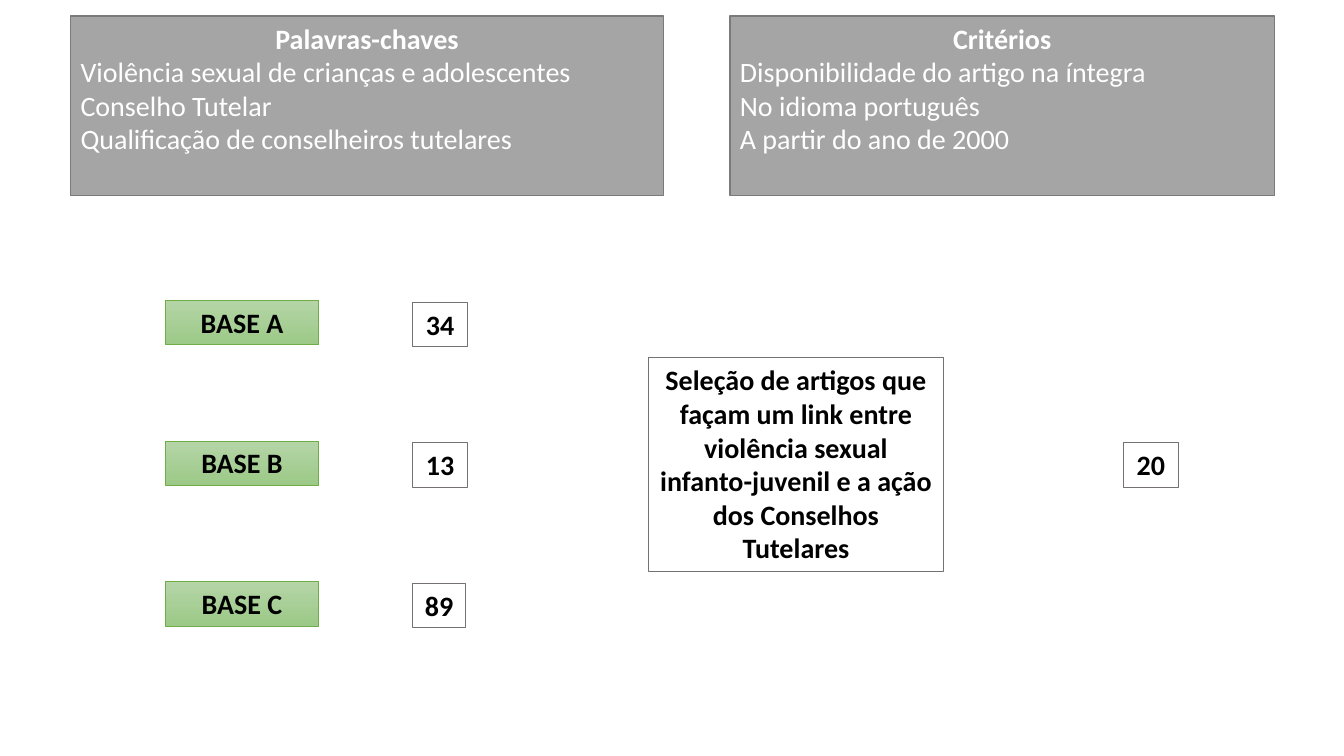
import pptx
import pptx.dml.color
import pptx.enum.shapes
import pptx.enum.text
import pptx.util

Inches, Pt = pptx.util.Inches, pptx.util.Pt
RGB = pptx.dml.color.RGBColor
ALIGN = pptx.enum.text.PP_ALIGN

BLACK, WHITE = RGB(0, 0, 0), RGB(255, 255, 255)
GREY, EDGE = RGB(0xA5, 0xA5, 0xA5), RGB(0x7A, 0x7A, 0x7A)
SLATE, GREEN = RGB(0x76, 0x71, 0x71), RGB(0x70, 0xAD, 0x47)
LIGHT, DEEP = RGB(0xB5, 0xD5, 0xA7), RGB(0x9C, 0xC9, 0x87)

# Each panel: left, width, title, items
PANELS = [
    (0.7, 5.88, "Palavras-chaves", [
        "Violência sexual de crianças e adolescentes",
        "Conselho Tutelar",
        "Qualificação de conselheiros tutelares"]),
    (7.24, 5.4, "Critérios", [
        "Disponibilidade do artigo na íntegra",
        "No idioma português",
        "A partir do ano de 2000"]),
]
# Each source: name, articles found, width of the count box
SOURCES = [("BASE A", "34", 0.55), ("BASE B", "13", 0.55), ("BASE C", "89", 0.53)]
FILTER = ("Seleção de artigos que façam um link entre violência sexual "
          "infanto-juvenil e a ação dos Conselhos Tutelares")
CHOSEN = "20"

# Each style: fill colours, line colour, line width, text colour
PANEL = ([GREY], EDGE, 1, WHITE)
SOURCE = ([LIGHT, DEEP], GREEN, 0.5, BLACK)
PLAIN = ([], SLATE, 0.75, BLACK)

FRAME = {"word_wrap": True,
         "auto_size": pptx.enum.text.MSO_AUTO_SIZE.NONE,
         "vertical_anchor": pptx.enum.text.MSO_ANCHOR.TOP}
FONT = {"name": "Calibri", "size": Pt(20)}
ROW_TOP, ROW_STEP, ROW_TALL = 2.98, 1.395, 0.44
COUNT_DROP = 0.02


def apply(target, values):
    """Set each named attribute on the target."""
    for name, value in values.items():
        setattr(target, name, value)


def paint(fill, shades):
    """Fill with nothing, one colour or a downward gradient."""
    if not shades:
        fill.background()
    elif len(shades) == 1:
        fill.solid()
        fill.fore_color.rgb = shades[0]
    else:
        fill.gradient()
        fill.gradient_angle = 270
        for stop, shade in zip(fill.gradient_stops, shades):
            stop.color.rgb = shade


def add_box(slide, place, style, title, items=()):
    """Add a box with a bold centred title and plain items below."""
    shades, edge, width, ink = style
    box = slide.shapes.add_shape(
        pptx.enum.shapes.MSO_SHAPE.RECTANGLE, *map(Inches, place))
    box.shadow.inherit = False
    paint(box.fill, shades)
    box.line.color.rgb = edge
    box.line.width = Pt(width)
    frame = box.text_frame
    apply(frame, FRAME)
    for i, text in enumerate([title, *items]):
        para = frame.add_paragraph() if i else frame.paragraphs[0]
        para.alignment = ALIGN.LEFT if i else ALIGN.CENTER
        run = para.add_run()
        run.text = text
        apply(run.font, {**FONT, "bold": i == 0})
        run.font.color.rgb = ink


deck = pptx.Presentation()
apply(deck, {"slide_width": Inches(13.33), "slide_height": Inches(7.5)})
slide = deck.slides.add_slide(deck.slide_layouts[6])

for left, wide, title, items in PANELS:
    add_box(slide, (left, 0.16, wide, 1.78), PANEL, title, items)

for row, (name, count, wide) in enumerate(SOURCES):
    top = ROW_TOP + row * ROW_STEP
    add_box(slide, (1.64, top, 1.52, ROW_TALL), SOURCE, name)
    add_box(slide, (4.09, top + COUNT_DROP, wide, ROW_TALL), PLAIN, count)

add_box(slide, (6.43, 3.55, 2.93, 2.12), PLAIN, FILTER)
add_box(slide, (11.14, ROW_TOP + ROW_STEP + COUNT_DROP, 0.55, ROW_TALL),
        PLAIN, CHOSEN)

deck.save("out.pptx")
